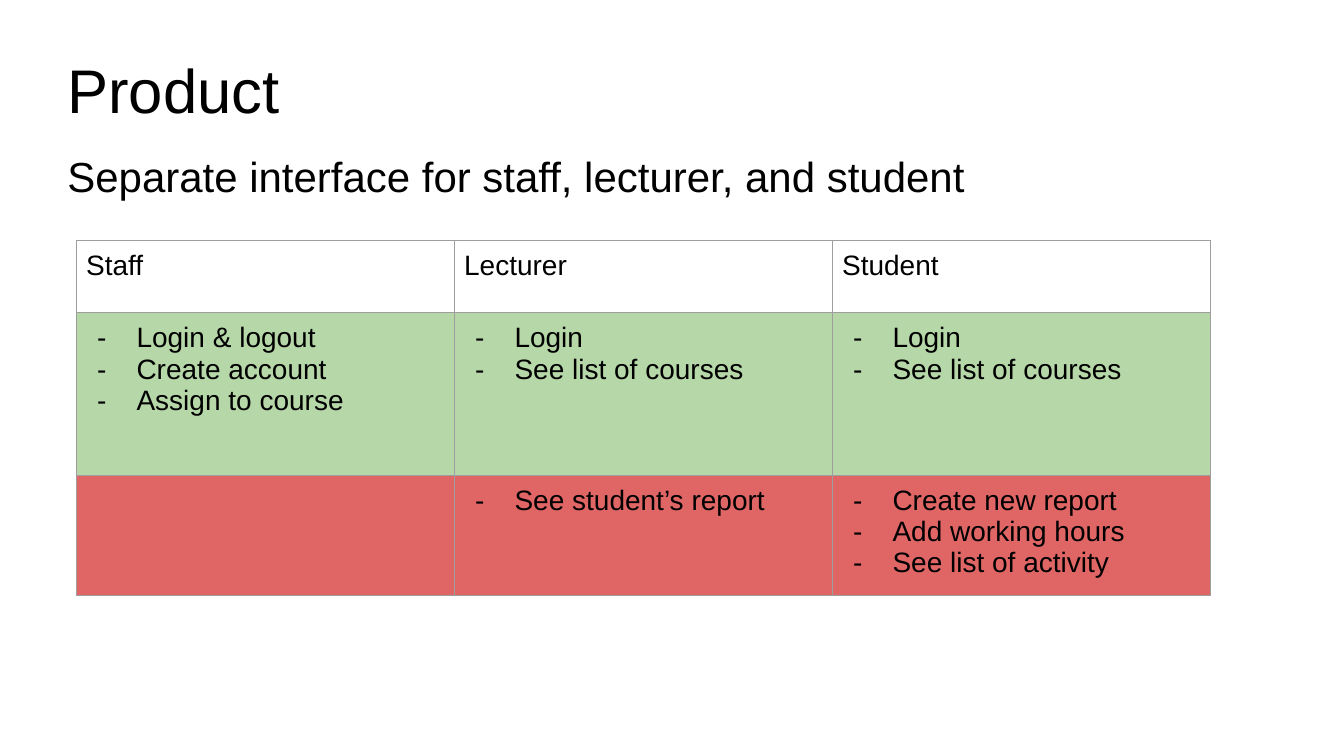
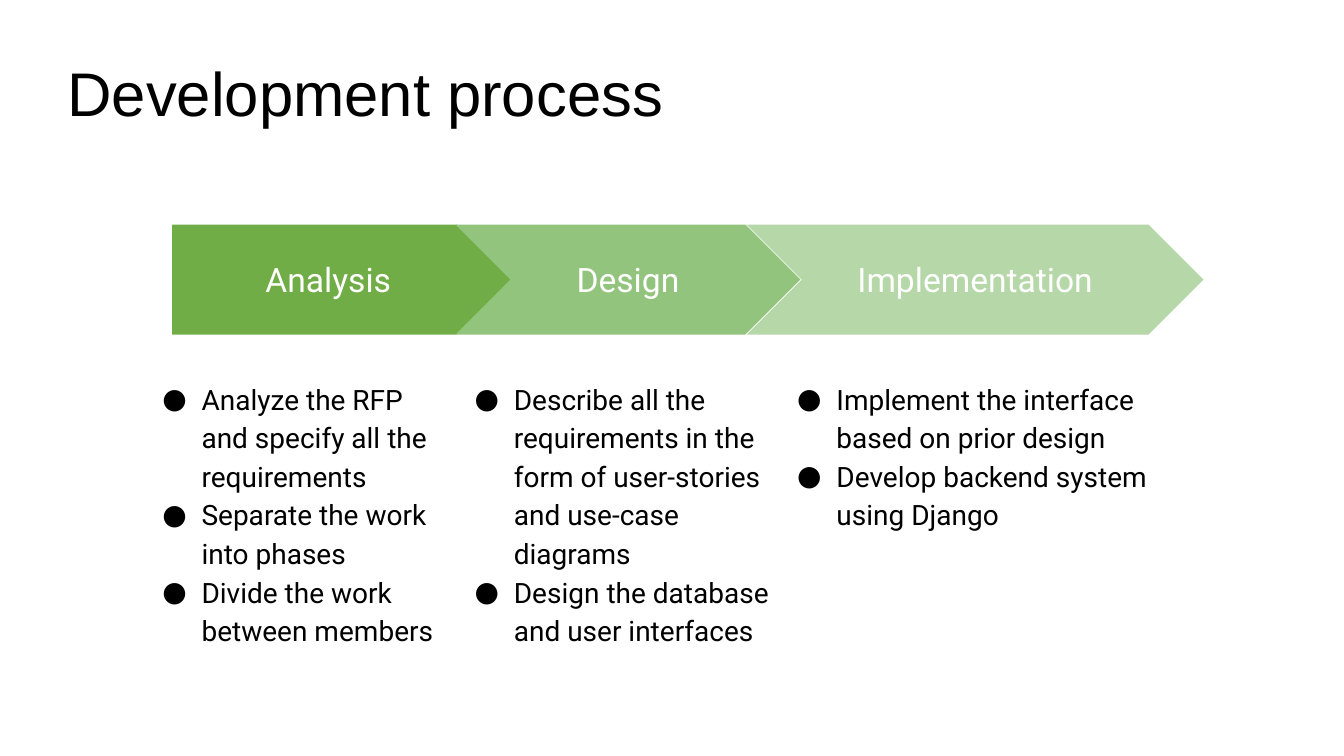
from itertools import accumulate

from lxml import etree
from pptx import Presentation
from pptx import util as u
from pptx.dml import color
from pptx.enum import shapes, text
from pptx.oxml import ns

BLACK, WHITE, GREY = "000000", "FFFFFF", "9E9E9E"
DARK_GREEN, GREEN, PALE_GREEN, RED = "70AD47", "93C47D", "B6D7A8", "E06666"

TITLE = {"name": "Arial", "size": u.Pt(44)}
SUBTITLE = {"name": "Arial", "size": u.Pt(30)}
TABLE_TEXT = {"name": "Arial", "size": u.Pt(20)}
STAGE_LABEL = {"name": "Roboto", "size": u.Pt(24)}
STAGE_TEXT = {"name": "Roboto", "size": u.Pt(20)}

HEADING = {"line_spacing": 0.9}
CENTRED = {"alignment": text.PP_ALIGN.CENTER}
LOOSE = {"line_spacing": 1.15}

PADDING = u.Cm(0.25)
MIDDLE = text.MSO_ANCHOR.MIDDLE

FEATURE_ROWS = [
    (1.83, WHITE, "", [["Staff"], ["Lecturer"], ["Student"]]),
    (4.09, PALE_GREEN, "-", [
        ["Login & logout", "Create account", "Assign to course"],
        ["Login", "See list of courses"],
        ["Login", "See list of courses"],
    ]),
    (2.86, RED, "-", [
        [],
        ["See student’s report"],
        ["Create new report", "Add working hours", "See list of activity"],
    ]),
]

PENTAGON, CHEVRON = shapes.MSO_SHAPE.PENTAGON, shapes.MSO_SHAPE.CHEVRON
STAGES = [
    ("Analysis", PENTAGON, DARK_GREEN, 4.34, 8.56, 3.56, 8.13, [
        "Analyze the RFP and specify all the requirements",
        "Separate the work into phases",
        "Divide the work between members",
    ]),
    ("Design", CHEVRON, GREEN, 11.48, 8.69, 11.43, 8.23, [
        "Describe all the requirements in the form of user-stories and use-case diagrams",
        "Design the database and user interfaces",
    ]),
    ("Implementation", CHEVRON, PALE_GREEN, 18.82, 11.51, 19.56, 9.65, [
        "Implement the interface based on prior design",
        "Develop backend system using Django",
    ]),
]


def rgb(value):
    return color.RGBColor.from_string(value)


def apply(target, values):
    for name, value in values.items():
        setattr(target, name, value)


def set_padding(target, padding):
    sides = ("left", "right", "top", "bottom")
    apply(target, {f"margin_{side}": padding for side in sides})


def fill_solid(target, value):
    target.fill.solid()
    target.fill.fore_color.rgb = rgb(value)


def add_bullet(paragraph, character, font_name):
    properties = paragraph._p.get_or_add_pPr()
    properties.set("marL", str(u.Cm(1.27)))
    properties.set("indent", str(-u.Cm(0.99)))
    bullet_color = etree.SubElement(properties, ns.qn("a:buClr"))
    etree.SubElement(bullet_color, ns.qn("a:srgbClr"), val=BLACK)
    etree.SubElement(properties, ns.qn("a:buFont"), typeface=font_name)
    etree.SubElement(properties, ns.qn("a:buChar"), char=character)


def write(frame, lines, font, value=BLACK, layout=None, bullet=""):
    for index, line in enumerate(lines):
        paragraph = frame.add_paragraph() if index else frame.paragraphs[0]
        apply(paragraph, layout or {})
        if bullet:
            add_bullet(paragraph, bullet, font["name"])
        run = paragraph.add_run()
        run.text = line
        apply(run.font, font)
        run.font.color.rgb = rgb(value)


def add_text(slide, box, lines, font, layout, padding=0, anchor=MIDDLE, bullet=""):
    frame = slide.shapes.add_textbox(*map(u.Cm, box)).text_frame
    apply(frame, {"word_wrap": True, "vertical_anchor": anchor})
    set_padding(frame, padding)
    write(frame, lines, font, layout=layout, bullet=bullet)


def add_slide(presentation, title, title_height):
    slide = presentation.slides.add_slide(presentation.slide_layouts[6])
    fill_solid(slide.background, WHITE)
    add_text(slide, (1.7, 0.76, 30.48, title_height), [title], TITLE, HEADING)
    return slide


def add_borders(cell):
    properties = cell._tc.get_or_add_tcPr()
    for index, side in enumerate(("lnL", "lnR", "lnT", "lnB")):
        line = etree.Element(ns.qn(f"a:{side}"), w=str(u.Pt(0.75)))
        solid = etree.SubElement(line, ns.qn("a:solidFill"))
        etree.SubElement(solid, ns.qn("a:srgbClr"), val=GREY)
        properties.insert(index, line)


def add_feature_table(slide, left, top, width):
    heights = [row[0] for row in FEATURE_ROWS]
    columns = len(FEATURE_ROWS[0][3])
    box = map(u.Cm, (left, top, width, sum(heights)))
    table = slide.shapes.add_table(len(heights), columns, *box).table
    apply(table, {"first_row": False, "horz_banding": False})
    for row, (height, fill, bullet, entries) in enumerate(FEATURE_ROWS):
        table.rows[row].height = u.Cm(height)
        for column, lines in enumerate(entries):
            cell = table.cell(row, column)
            set_padding(cell, PADDING)
            fill_solid(cell, fill)
            add_borders(cell)
            write(cell.text_frame, lines, TABLE_TEXT, bullet=bullet)


def add_stage_arrow(slide, preset, box, label, fill):
    shape = slide.shapes.add_shape(preset, *map(u.Cm, box))
    shape.shadow.inherit = False
    fill_solid(shape, fill)
    shape.line.fill.background()
    frame = shape.text_frame
    apply(frame, {"word_wrap": True, "vertical_anchor": MIDDLE})
    set_padding(frame, PADDING)
    write(frame, [label], STAGE_LABEL, WHITE, CENTRED)


def add_process(slide, top):
    for label, preset, fill, left, width, text_left, text_width, lines in STAGES:
        add_stage_arrow(slide, preset, (left, top, width, 2.77), label, fill)
        add_text(slide, (text_left, top + 3.59, text_width, 9.5), lines, STAGE_TEXT,
                 LOOSE, PADDING, text.MSO_ANCHOR.TOP, "●")


def add_product_slide(presentation):
    slide = add_slide(presentation, "Product", 3.18)
    add_text(slide, (1.7, 3.73, 30.48, 1.58),
             ["Separate interface for staff, lecturer, and student"], SUBTITLE, HEADING)
    add_feature_table(slide, 1.92, 6.05, 28.58)


def add_process_slide(presentation):
    slide = add_slide(presentation, "Development process", 3.33)
    add_process(slide, 5.66)


def main():
    presentation = Presentation()
    apply(presentation, {"slide_width": u.Cm(33.87), "slide_height": u.Cm(19.05)})
    add_product_slide(presentation)
    add_process_slide(presentation)
    presentation.save("out.pptx")


if __name__ == "__main__":
    main()
